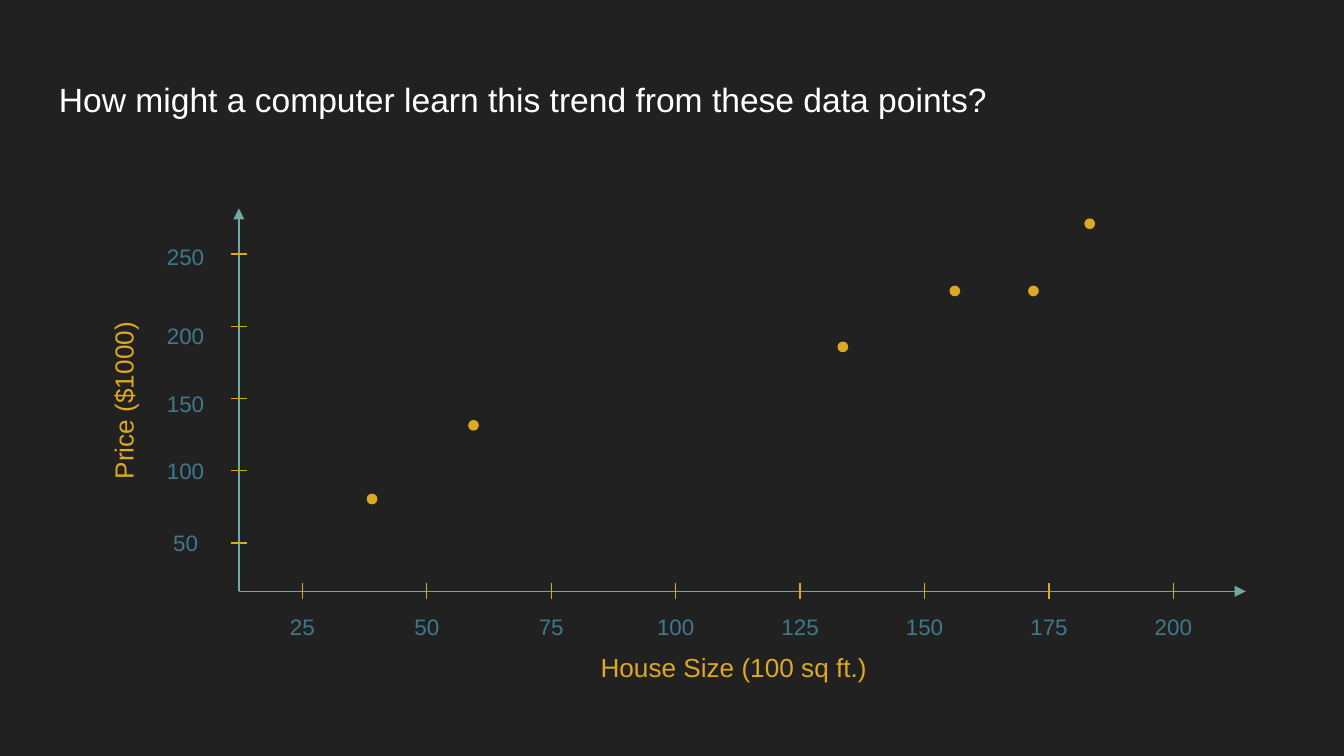
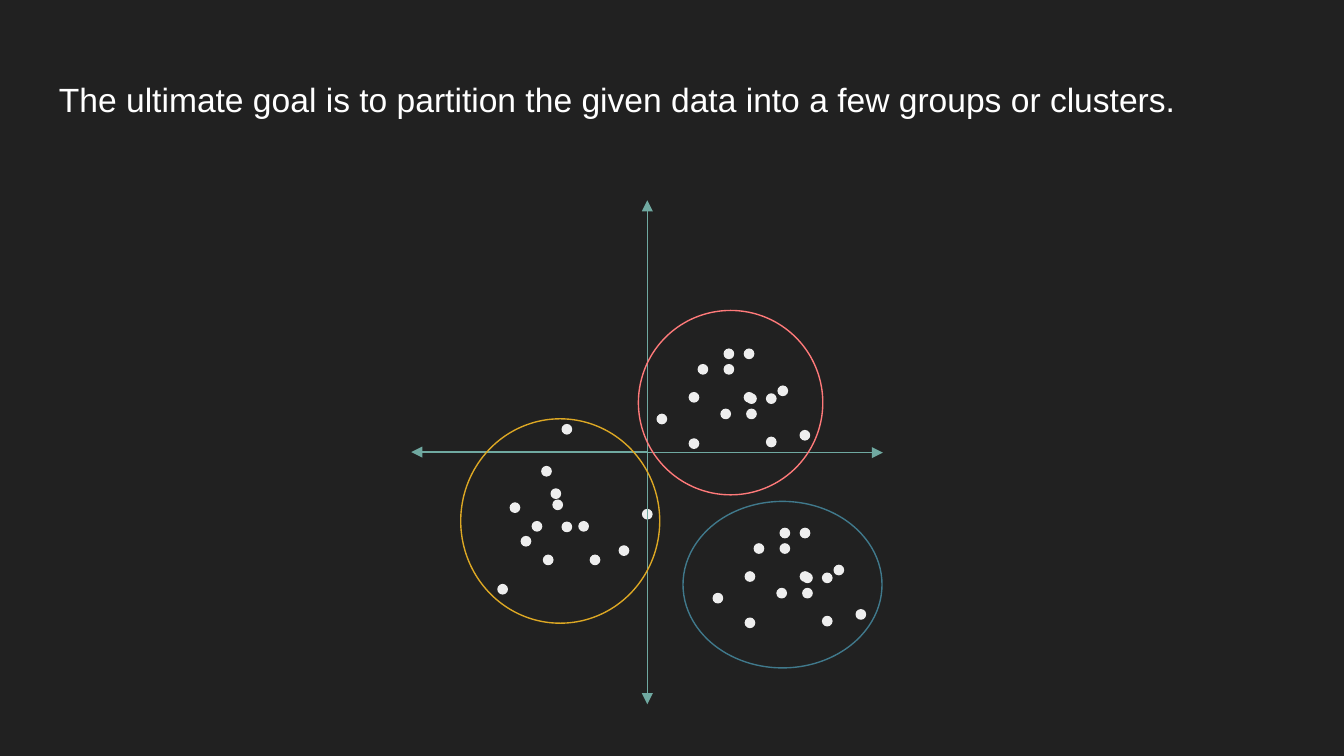
from lxml import etree
from pptx import Presentation
from pptx.dml.color import RGBColor
from pptx.enum.shapes import MSO_CONNECTOR, MSO_SHAPE
from pptx.enum.text import MSO_ANCHOR, PP_ALIGN
from pptx.oxml.ns import qn
from pptx.util import Pt

OVAL = MSO_SHAPE.OVAL
STRAIGHT = MSO_CONNECTOR.STRAIGHT
TOP, MIDDLE = MSO_ANCHOR.TOP, MSO_ANCHOR.MIDDLE
LEFT, CENTER = PP_ALIGN.LEFT, PP_ALIGN.CENTER

COLORS = {
    "background": "212121",
    "title": "FFFFFF",
    "axis": "70A9A1",
    "gold": "DDA824",
    "teal": "40798C",
    "coral": "FF7A7A",
    "point": "EEEEEE",
}
FONT = "Arial"
LINE_WIDTH = 0.75
DOT = 5
TICK = 8.6
INSET = 7.2

TREND_TITLE = "How might a computer learn this trend from these data points?"
SIZE_AXIS = "House Size (100 sq ft.)"
PRICE_AXIS = "Price ($1000)"
HOUSES = [(39, 80.4), (59.4, 131.4), (133.6, 185.7),
          (156.1, 224.4), (171.9, 224.4), (183.2, 270.9)]
SIZE_TICKS = range(25, 201, 25)
PRICE_LABELS = [(50, 290.9), (100, 252), (150, 216), (200, 180), (250, 137.5)]

CLUSTER_TITLE = ("The ultimate goal is to partition the given data "
                 "into a few groups or clusters.")
UPPER_CLUSTER = [
    (390.5, 189.6), (401.3, 189.6), (376.6, 197.9), (390.5, 197.9),
    (419.4, 209.4), (371.8, 212.9), (401.3, 212.9), (402.6, 213.6),
    (413.2, 213.6), (388.8, 221.8), (402.6, 221.8), (354.6, 224.5),
    (371.8, 237.7), (413.2, 236.8), (431.2, 233.2),
]
LEFT_CLUSTER = [
    (303.7, 230), (292.8, 252.5), (297.8, 264.5), (298.8, 270.5),
    (275.9, 272), (346.8, 275.5), (287.7, 282), (303.7, 282.3),
    (312.7, 282), (281.8, 290), (334.3, 295), (293.7, 300),
    (318.8, 300), (269.3, 315.7),
]
LOWER_SHIFT = (30, 96)
LOWER_CLUSTER = [(x + LOWER_SHIFT[0], y + LOWER_SHIFT[1])
                 for x, y in UPPER_CLUSTER]
CLUSTER_RINGS = [
    ("teal", 365.9, 268.6, 106.6, 89.2),
    ("gold", 246.8, 224.4, 106.6, 109.5),
    ("coral", 342, 166.3, 98.8, 98.8),
]

TREND_ORIGIN = (128, 316.8)
TREND_AXIS_ENDS = [(128, 111.6), (667.4, 316.8)]
CLUSTER_ORIGIN = (346.8, 242.5)
CLUSTER_AXIS_ENDS = [(346.8, 107.3), (473, 242.5), (346.8, 377.3), (220.3, 242.2)]


def rgb(name):
    return RGBColor.from_string(COLORS[name])


def size_x(size):
    return 162 + (size - 25) * 466.6 / 175


def price_y(price):
    return 290.9 - (price - 50) * 154.8 / 200


def add_text(slide, text, center, extent, size, color,
             align=CENTER, anchor=MIDDLE, rotation=0):
    (x, y), (width, height) = center, extent
    box = slide.shapes.add_textbox(Pt(x - width / 2), Pt(y - height / 2),
                                   Pt(width), Pt(height))
    box.rotation = rotation
    frame = box.text_frame
    frame.word_wrap = True
    frame.vertical_anchor = anchor
    frame.margin_left = frame.margin_right = Pt(INSET)
    frame.margin_top = frame.margin_bottom = Pt(INSET)
    paragraph = frame.paragraphs[0]
    paragraph.alignment = align
    run = paragraph.add_run()
    run.text = text
    run.font.name = FONT
    run.font.size = Pt(size)
    run.font.color.rgb = rgb(color)


def add_line(slide, start, end, color, arrow=False):
    line = slide.shapes.add_connector(STRAIGHT, *(Pt(v) for v in (*start, *end)))
    line.line.color.rgb = rgb(color)
    line.line.width = Pt(LINE_WIDTH)
    properties = line.element.spPr
    if arrow:
        etree.SubElement(properties.find(qn("a:ln")), qn("a:tailEnd"), type="triangle")
    etree.SubElement(properties, qn("a:effectLst"))


def add_axes(slide, origin, ends):
    for x, y in ends:
        start = (origin[0], y) if x != origin[0] else origin
        add_line(slide, start, (x, y), "axis", arrow=True)


def add_ellipse(slide, left, top, width, height, color, filled):
    ellipse = slide.shapes.add_shape(OVAL, Pt(left), Pt(top), Pt(width), Pt(height))
    ellipse.shadow.inherit = False
    ellipse.line.color.rgb = rgb(color)
    ellipse.line.width = Pt(LINE_WIDTH)
    if filled:
        ellipse.fill.solid()
        ellipse.fill.fore_color.rgb = rgb(color)
    else:
        ellipse.fill.background()


def add_dots(slide, centers, color):
    for x, y in centers:
        add_ellipse(slide, x - DOT / 2, y - DOT / 2, DOT, DOT, color, True)


def add_slide(deck, title):
    slide = deck.slides.add_slide(deck.slide_layouts[6])
    slide.background.fill.solid()
    slide.background.fill.fore_color.rgb = rgb("background")
    add_text(slide, title, (360, 58), (671, 45.4), 18, "title", LEFT, TOP)
    return slide


def build_trend(deck):
    slide = add_slide(deck, TREND_TITLE)
    add_axes(slide, TREND_ORIGIN, TREND_AXIS_ENDS)
    add_text(slide, SIZE_AXIS, (393.1, 357.1), (262, 30.2), 14, "gold")
    add_text(slide, PRICE_AXIS, (65.9, 214.6), (156.2, 27.4), 14, "gold", rotation=270)
    axis_x, axis_y = TREND_ORIGIN
    label_extent = (41.8, 24.5)
    for price, label_y in PRICE_LABELS:
        y = price_y(price)
        add_line(slide, (axis_x - TICK / 2, y), (axis_x + TICK / 2, y), "gold")
        add_text(slide, str(price), (99.4, label_y), label_extent, 12, "teal")
    for size in SIZE_TICKS:
        x = size_x(size)
        add_line(slide, (x, axis_y - TICK / 2), (x, axis_y + TICK / 2), "gold")
        add_text(slide, str(size), (x, 335.5), label_extent, 12, "teal")
    add_dots(slide, [(size_x(size), price_y(price)) for size, price in HOUSES], "gold")


def build_clusters(deck):
    slide = add_slide(deck, CLUSTER_TITLE)
    for cluster in (UPPER_CLUSTER, LEFT_CLUSTER, LOWER_CLUSTER):
        add_dots(slide, cluster, "point")
    add_axes(slide, CLUSTER_ORIGIN, CLUSTER_AXIS_ENDS)
    for color, *bounds in CLUSTER_RINGS:
        add_ellipse(slide, *bounds, color, False)


def main():
    deck = Presentation()
    deck.slide_width, deck.slide_height = Pt(720), Pt(405)
    build_trend(deck)
    build_clusters(deck)
    deck.save("out.pptx")


if __name__ == "__main__":
    main()
